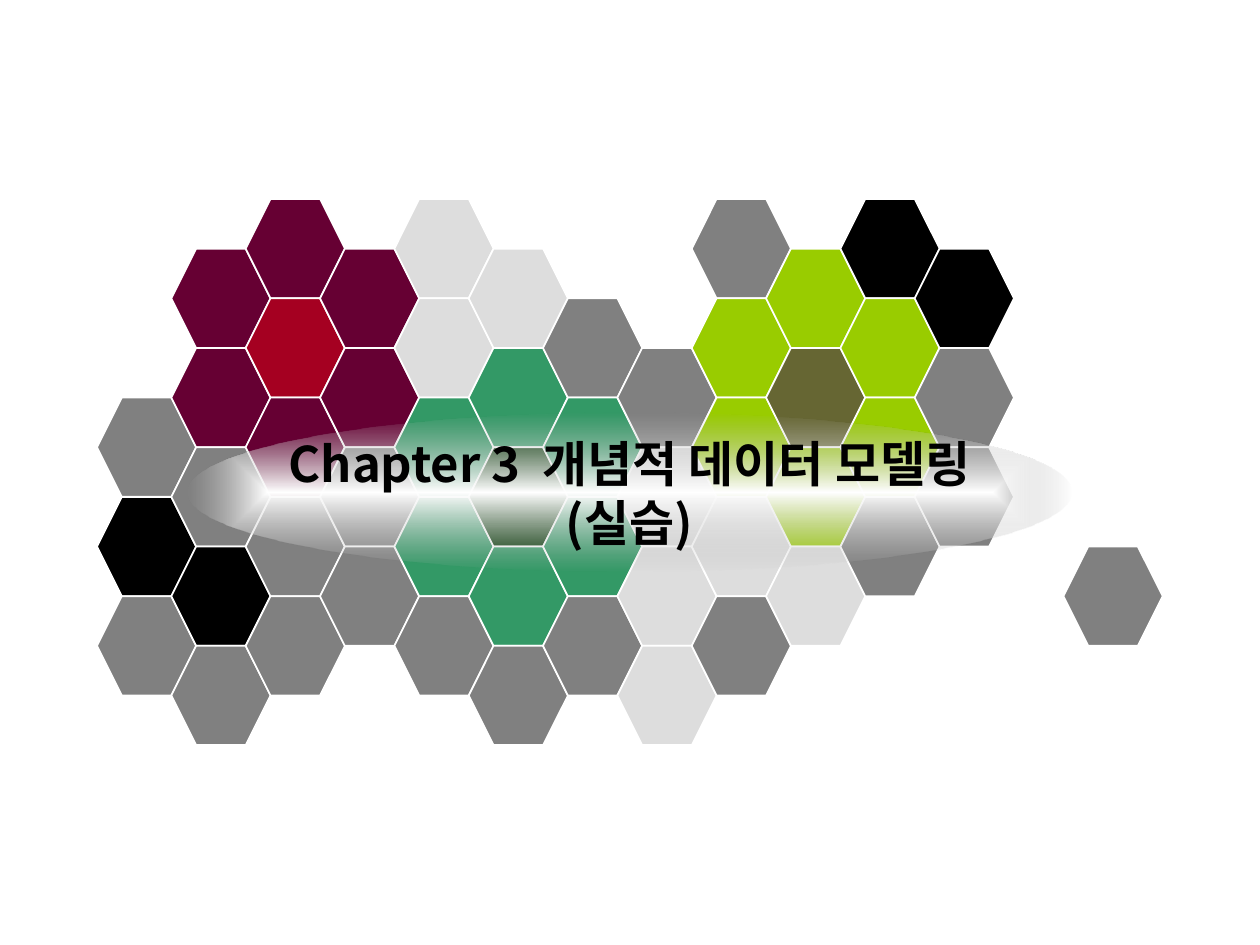
from lxml.etree import SubElement
from pptx import Presentation
from pptx.dml.color import RGBColor
from pptx.enum.shapes import MSO_SHAPE
from pptx.enum.text import MSO_ANCHOR, MSO_AUTO_SIZE, PP_ALIGN
from pptx.oxml import parse_xml
from pptx.oxml.ns import nsdecls, qn
from pptx.util import Inches, Pt

COLORS = {
    "white": "FFFFFF", "gray": "808080", "black": "000000", "light": "DDDDDD",
    "wine": "660033", "red": "A50021", "green": "339966", "forest": "003300",
    "lime": "99CC00", "olive": "666633", "glow": "B6B6B6",
}

# Each honeycomb column: grid column, first half row, colours downwards
HONEYCOMB = [
    (0, 4, "gray black gray"),
    (1, 1, "wine wine gray black gray"),
    (2, 0, "wine red wine gray gray"),
    (3, 1, "wine wine gray gray"),
    (4, 0, "light light green green gray"),
    (5, 1, "light green forest green gray"),
    (6, 2, "gray green green gray"),
    (7, 3, "gray light light light"),
    (8, 0, "gray lime lime light gray"),
    (9, 1, "lime olive lime light"),
    (10, 0, "black lime lime gray"),
    (11, 1, "black gray gray"),
    (13, 7, "gray"),
]
TITLE_AREA = (0.149, 0.437, 0.701, 0.168)  # shares of the slide's size


class SlideBuilder:
    font = "Noto Sans CJK KR"
    title_size = Pt(28)
    left, top = Inches(0.77), Inches(1.58)
    column_step, half_row = Inches(0.59), Inches(0.394)
    cell_size = 2 * half_row

    def __init__(self, deck):
        self.deck = deck
        self.page = deck.slides.add_slide(deck.slide_layouts[5])

    def area(self, left, top, width, height):
        across, down = self.deck.slide_width, self.deck.slide_height
        return (round(left * across), round(top * down),
                round(width * across), round(height * down))

    def hexagon(self, group, column, row, color):
        cell = group.shapes.add_shape(
            MSO_SHAPE.HEXAGON,
            self.left + column * self.column_step, self.top + row * self.half_row,
            self.cell_size, self.cell_size)
        cell.adjustments[0] = 0.25
        cell.shadow.inherit = False
        cell.fill.solid()
        cell.fill.fore_color.rgb = RGBColor.from_string(COLORS[color])
        cell.line.color.rgb = RGBColor.from_string(COLORS["white"])
        cell.line.width = Pt(1)

    def honeycomb(self, columns):
        group = self.page.shapes.add_group_shape()
        for column, first_row, colors in columns:
            for index, color in enumerate(colors.split()):
                self.hexagon(group, column, first_row + 2 * index, color)

    def glow(self, area):
        ellipse = self.page.shapes.add_shape(MSO_SHAPE.OVAL, *self.area(*area))
        ellipse.shadow.inherit = False
        ellipse.line.fill.background()
        # White centre fading to a transparent rim
        gradient = parse_xml(
            f'<a:gradFill {nsdecls("a")} rotWithShape="1"><a:gsLst>'
            f'<a:gs pos="0"><a:srgbClr val="{COLORS["white"]}"/></a:gs>'
            f'<a:gs pos="100000"><a:srgbClr val="{COLORS["glow"]}">'
            '<a:alpha val="0"/></a:srgbClr></a:gs></a:gsLst>'
            '<a:path path="shape"><a:fillToRect l="50000" t="50000" r="50000" '
            'b="50000"/></a:path></a:gradFill>')
        ellipse._element.spPr.find(qn("a:prstGeom")).addnext(gradient)

    def title(self, area, lines):
        box = self.page.shapes.title
        box.left, box.top, box.width, box.height = self.area(*area)
        frame = box.text_frame
        frame.word_wrap = False
        frame.auto_size = MSO_AUTO_SIZE.NONE
        frame.vertical_anchor = MSO_ANCHOR.MIDDLE
        for index, line in enumerate(lines):
            para = frame.add_paragraph() if index else frame.paragraphs[0]
            para.alignment = PP_ALIGN.CENTER
            span = para.add_run()
            span.text = line
            span.font.name = self.font
            span.font.size = self.title_size
            span.font.bold = True
            span.font.color.rgb = RGBColor.from_string(COLORS["black"])
            SubElement(span.font._element, qn("a:ea"), typeface=self.font)
        # Bring the title in front of the artwork
        self.page.shapes._spTree.append(box._element)


def main():
    deck = Presentation()
    deck.slide_width, deck.slide_height = Inches(10), Inches(7.5)
    builder = SlideBuilder(deck)

    # Background artwork
    builder.honeycomb(HONEYCOMB)
    builder.glow(TITLE_AREA)

    # Chapter title
    builder.title(TITLE_AREA, ["Chapter 3  개념적 데이터 모델링", "(실습)"])
    deck.save("out.pptx")


if __name__ == "__main__":
    main()
